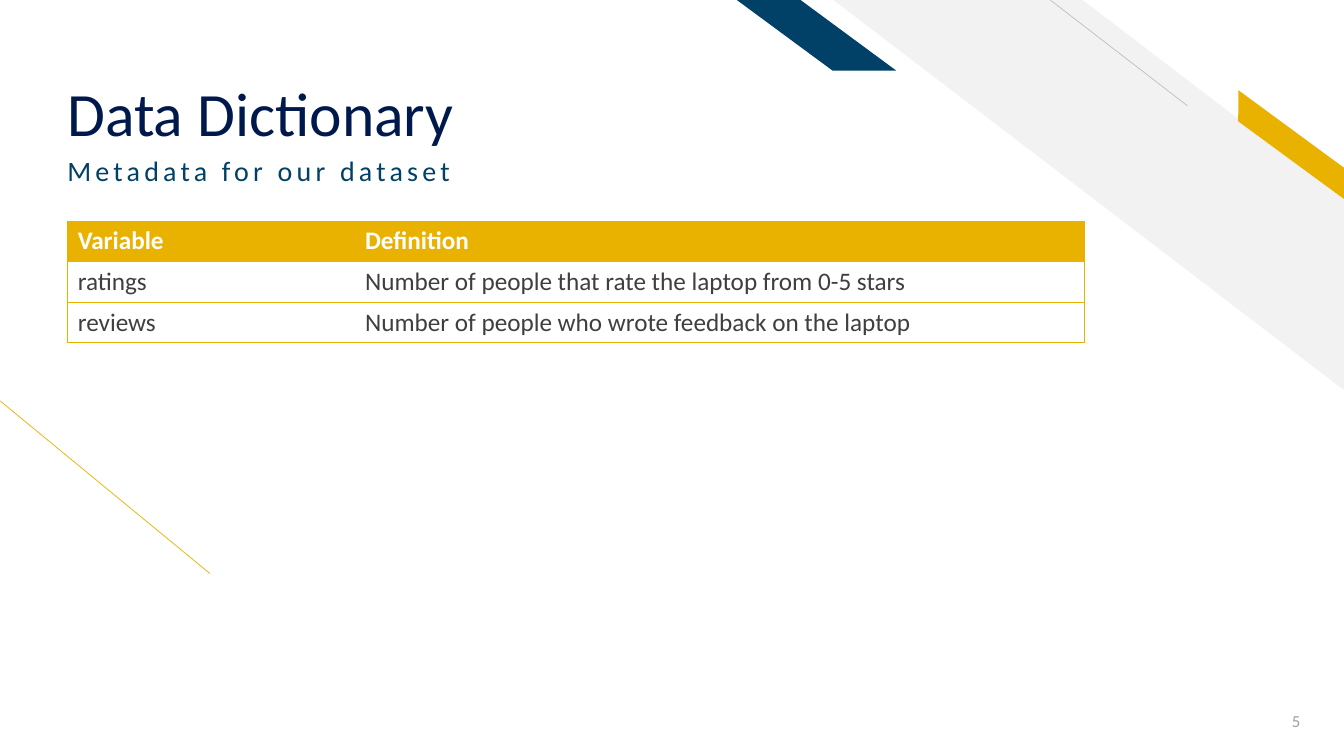
from lxml.etree import SubElement
from pptx import Presentation
from pptx.dml.color import RGBColor
from pptx.enum.shapes import MSO_CONNECTOR, MSO_SHAPE
from pptx.enum.text import MSO_ANCHOR, PP_ALIGN
from pptx.oxml import parse_xml
from pptx.oxml.ns import nsdecls, qn
from pptx.util import Pt

FONT = "Calibri"
GOLD = "EAB200"
BLUE = "014067"
NO_STYLE = "{2D5ABB26-0587-4C30-8999-92F81FD0307C}"
ENTRIES = [
    ("Variable", "Definition"),
    ("ratings", "Number of people that rate the laptop from 0-5 stars"),
    ("reviews", "Number of people who wrote feedback on the laptop"),
]


def color(value):
    return RGBColor.from_string(value)


def set_font(paragraph, size, font_color, bold=False):
    paragraph.font.name = FONT
    paragraph.font.size = Pt(size)
    paragraph.font.bold = bold
    paragraph.font.color.rgb = color(font_color)


def add_line(slide, start, end, line_color):
    points = [Pt(value) for value in (*start, *end)]
    connector = slide.shapes.add_connector(MSO_CONNECTOR.STRAIGHT, *points)
    connector.line.color.rgb = color(line_color)
    connector.line.width = Pt(0.5)
    SubElement(connector.element.spPr, qn("a:effectLst"))


def add_mirrored_shape(slide, kind, box, adjustment, fill_color, rotation=0):
    shape = slide.shapes.add_shape(kind, *[Pt(value) for value in box])
    shape.adjustments[0] = adjustment
    shape.rotation = rotation
    shape.shadow.inherit = False
    shape.fill.solid()
    shape.fill.fore_color.rgb = color(fill_color)
    shape.line.fill.background()
    shape.element.spPr.find(qn("a:xfrm")).set("flipH", "1")


def add_text(slide, box, text, size, font_color, anchor=MSO_ANCHOR.TOP,
             alignment=PP_ALIGN.LEFT, line_spacing=1.0, bottom=3.6, tracking=0):
    frame = slide.shapes.add_textbox(*[Pt(value) for value in box]).text_frame
    frame.word_wrap = True
    frame.vertical_anchor = anchor
    frame.margin_bottom = Pt(bottom)
    paragraph = frame.paragraphs[0]
    paragraph.text = text
    paragraph.alignment = alignment
    paragraph.line_spacing = line_spacing
    set_font(paragraph, size, font_color)
    if tracking:
        properties = paragraph.runs[0].font._element
        properties.set("spc", str(tracking * 100))


def add_borders(cell, sides):
    properties = cell._tc.get_or_add_tcPr()
    for position, side in enumerate(sides):
        border = parse_xml(
            f'<a:ln{side} {nsdecls("a")} w="6350"><a:solidFill>'
            f'<a:srgbClr val="{GOLD}"/></a:solidFill></a:ln{side}>'
        )
        properties.insert(position, border)


def add_dictionary_table(slide):
    box = [Pt(value) for value in (48.4, 157.8, 725.8, 87)]
    table = slide.shapes.add_table(len(ENTRIES), 2, *box).table
    table.horz_banding = False
    table._tbl.tblPr.find(qn("a:tableStyleId")).text = NO_STYLE
    for column, width in zip(table.columns, (205.2, 520.6)):
        column.width = Pt(width)
    for row_index, entry in enumerate(ENTRIES):
        header = row_index == 0
        for column_index, text in enumerate(entry):
            cell = table.cell(row_index, column_index)
            cell.text = text
            set_font(cell.text_frame.paragraphs[0], 18,
                     "FFFFFF" if header else "3F3F3F", header)
            if header:
                cell.fill.solid()
                cell.fill.fore_color.rgb = color(GOLD)
            else:
                cell.fill.background()
            add_borders(cell, "LTB" if column_index == 0 else "RTB")


def main():
    presentation = Presentation()
    presentation.slide_width = Pt(960)
    presentation.slide_height = Pt(540)
    slide = presentation.slides.add_slide(presentation.slide_layouts[6])

    add_line(slide, (150, 409.7), (0, 286.3), GOLD)
    add_mirrored_shape(slide, MSO_SHAPE.DIAGONAL_STRIPE,
                       (595.4, 0, 364.6, 278.6), 0.512, "F2F2F2")
    add_line(slide, (848.2, 75.6), (750.2, 0), "BFBFBF")
    add_mirrored_shape(slide, MSO_SHAPE.PARALLELOGRAM,
                       (869, 94.3, 106.6, 18), 0.72, GOLD, 36.3)
    add_mirrored_shape(slide, MSO_SHAPE.PARALLELOGRAM,
                       (526.3, 0, 113.8, 50.4), 1.356, BLUE)

    add_text(slide, (41, 16.6, 656, 90.7), "Data Dictionary", 44, "00194C",
             anchor=MSO_ANCHOR.BOTTOM, line_spacing=0.9, bottom=0)
    add_text(slide, (41, 108.7, 580.3, 48.2), "Metadata for our dataset", 20, BLUE,
             line_spacing=0.9, tracking=3)
    add_text(slide, (877.7, 500.4, 58.3, 28.8), "5", 12, "9F9F9F",
             anchor=MSO_ANCHOR.MIDDLE, alignment=PP_ALIGN.RIGHT)
    add_dictionary_table(slide)
    presentation.save("out.pptx")


if __name__ == "__main__":
    main()
